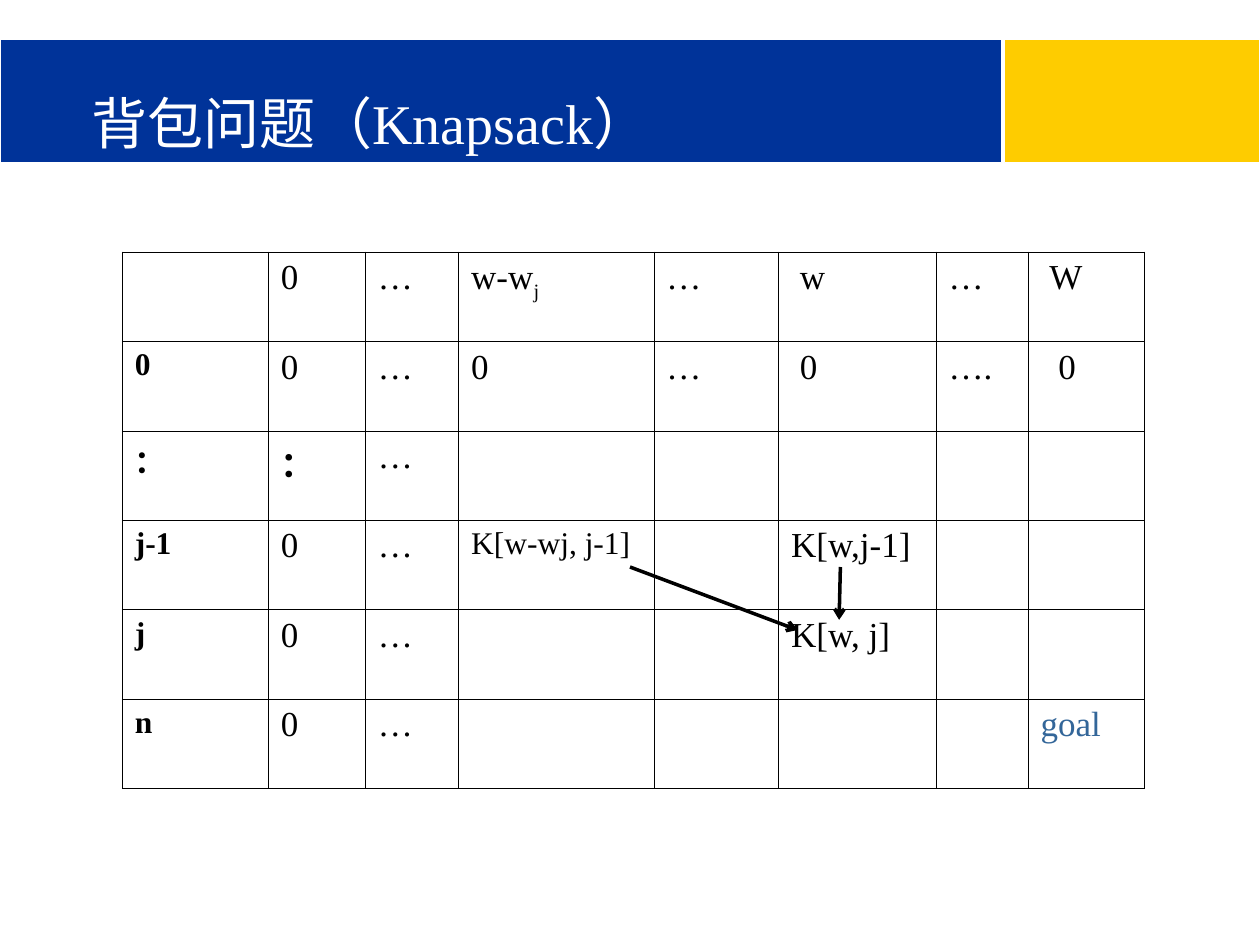
import pptx
import pptx.util
import pptx.dml.color
import pptx.enum.shapes
import pptx.enum.text
import pptx.oxml
import pptx.oxml.ns

Inches = pptx.util.Inches
Pt = pptx.util.Pt
qn = pptx.oxml.ns.qn
NS = pptx.oxml.ns.nsdecls("a")

COLS = [1.16, 0.77, 0.74, 1.55, 0.99, 1.25, 0.73, 0.92]
ROW = 0.71
CELLS = [
    ["", "0", "…", "w-w", "…", "w", "…", "W"],
    ["0", "0", "…", "0", "…", "0", "….", "0"],
    ["：", "：", "…", "", "", "", "", ""],
    ["j-1", "0", "…", "K[w-wj, j-1]", "", "K[w,j-1]", "", ""],
    ["j", "0", "…", "", "", "K[w, j]", "", ""],
    ["n", "0", "…", "", "", "", "", "goal"],
]
SHIFT = {(0, 5): 0.07, (0, 7): 0.07, (1, 5): 0.07, (1, 7): 0.14}


def color(text):
    return pptx.dml.color.RGBColor.from_string(text)


def write(para, text, size=20, bold=False, ink="000000",
          face="Times New Roman", east="Noto Sans CJK SC", base=0):
    """Add a run with its format to a paragraph."""
    run = para.add_run()
    run.text = text
    font = run.font
    font.size, font.bold, font.name = Pt(size), bold, face
    font.color.rgb = color(ink)
    props = run._r.get_or_add_rPr()
    latin = props.find(qn("a:latin"))
    latin.addnext(pptx.oxml.parse_xml(f'<a:ea {NS} typeface="{east}"/>'))
    if base:
        props.set("baseline", str(base * 1000))


class Deck:
    """Holds the style and the current slide."""
    ink, blue, gold, white = "000000", "003399", "FECC00", "FFFFFF"
    goal, cjk = "336699", "Noto Sans CJK SC"

    def __init__(self):
        self.prs = pptx.Presentation()
        self.prs.slide_width, self.prs.slide_height = Inches(10), Inches(7.5)
        self.slide = self.prs.slides.add_slide(self.prs.slide_layouts[5])
        self.shapes = self.slide.shapes

    def band(self, left, width, fill):
        kind = pptx.enum.shapes.MSO_SHAPE.RECTANGLE
        box = self.shapes.add_shape(
            kind, Inches(left), Inches(0.31), Inches(width), Inches(0.98))
        box.shadow.inherit = False
        box.fill.solid()
        box.fill.fore_color.rgb = color(fill)
        box.line.color.rgb = color(self.white)
        box.line.width = Pt(0.75)

    def title(self, parts):
        box = self.shapes.title
        box.left, box.top = Inches(0.63), Inches(0.33)
        box.width, box.height = Inches(6.12), Inches(0.96)
        frame = box.text_frame
        frame.auto_size = pptx.enum.text.MSO_AUTO_SIZE.NONE
        frame.vertical_anchor = pptx.enum.text.MSO_ANCHOR.BOTTOM
        para = frame.paragraphs[0]
        para.alignment = pptx.enum.text.PP_ALIGN.LEFT
        for text, face in parts:
            write(para, text, size=32, ink=self.white, face=face)
        self.shapes._spTree.append(box._element)  # above the bands

    def border(self, cell):
        props = cell._tc.get_or_add_tcPr()
        for spot, side in enumerate("LRTB"):
            props.insert(spot, pptx.oxml.parse_xml(
                f'<a:ln{side} {NS} w="{Pt(0.45)}"><a:solidFill>'
                f'<a:srgbClr val="{self.ink}"/></a:solidFill></a:ln{side}>'))

    def table(self, left, top):
        grid = self.shapes.add_table(
            len(CELLS), len(COLS), Inches(left), Inches(top),
            Inches(sum(COLS)), Inches(ROW * len(CELLS))).table
        grid.first_row = grid.horz_banding = False
        for col, width in zip(grid.columns, COLS):
            col.width = Inches(width)
        for r, row in enumerate(CELLS):
            grid.rows[r].height = Inches(ROW)
            for c, text in enumerate(row):
                cell = grid.cell(r, c)
                cell.fill.background()
                self.border(cell)
                cell.margin_left = Inches(0.1 + SHIFT.get((r, c), 0))
                if text:
                    small = c == 0 or (r, c) == (3, 3)
                    write(cell.text_frame.paragraphs[0], text,
                          size=18 if small else 20,
                          bold=c == 0 or text == "：",
                          ink=self.goal if text == "goal" else self.ink)
        write(grid.cell(0, 3).text_frame.paragraphs[0], "j", base=-25)

    def arrow(self, *ends):
        kind = pptx.enum.shapes.MSO_CONNECTOR.STRAIGHT
        line = self.shapes.add_connector(kind, *map(Inches, ends))
        line.line.color.rgb = color(self.ink)
        line.line.width = Pt(2)
        line.line._get_or_add_ln().append(
            pptx.oxml.parse_xml(f'<a:tailEnd {NS} type="arrow"/>'))
        line._element.spPr.append(
            pptx.oxml.parse_xml(f"<a:effectLst {NS}/>"))


def main():
    deck = Deck()
    deck.band(7.97, 2.03, deck.gold)
    deck.band(0, 7.95, deck.blue)
    deck.table(0.97, 2)
    deck.arrow(6.67, 4.5, 6.66, 4.92)
    deck.arrow(5, 4.5, 6.33, 5)
    deck.title([("背包问题（", deck.cjk), ("Knapsack", "Times New Roman"),
                ("）", deck.cjk)])
    deck.prs.save("out.pptx")


if __name__ == "__main__":
    main()
